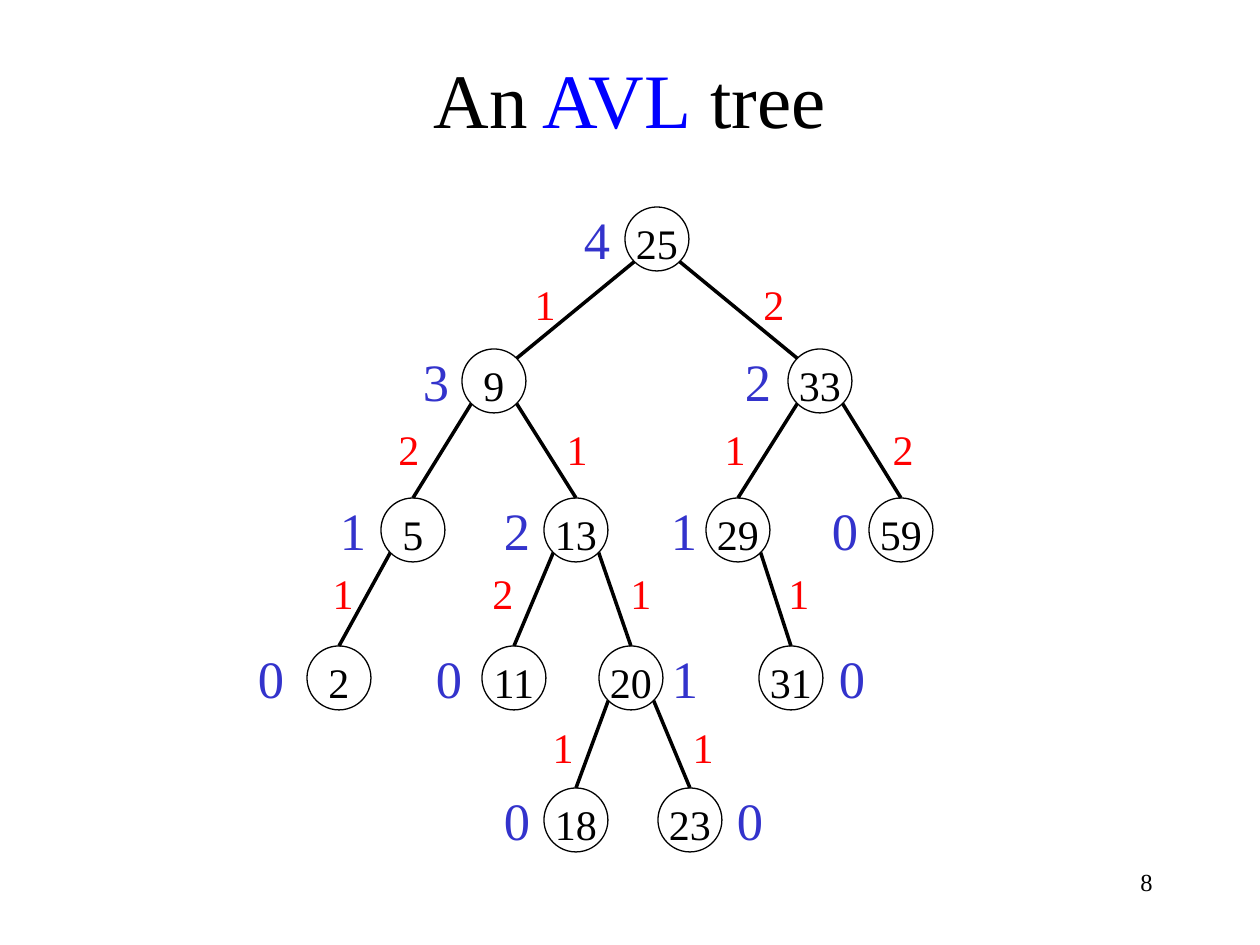
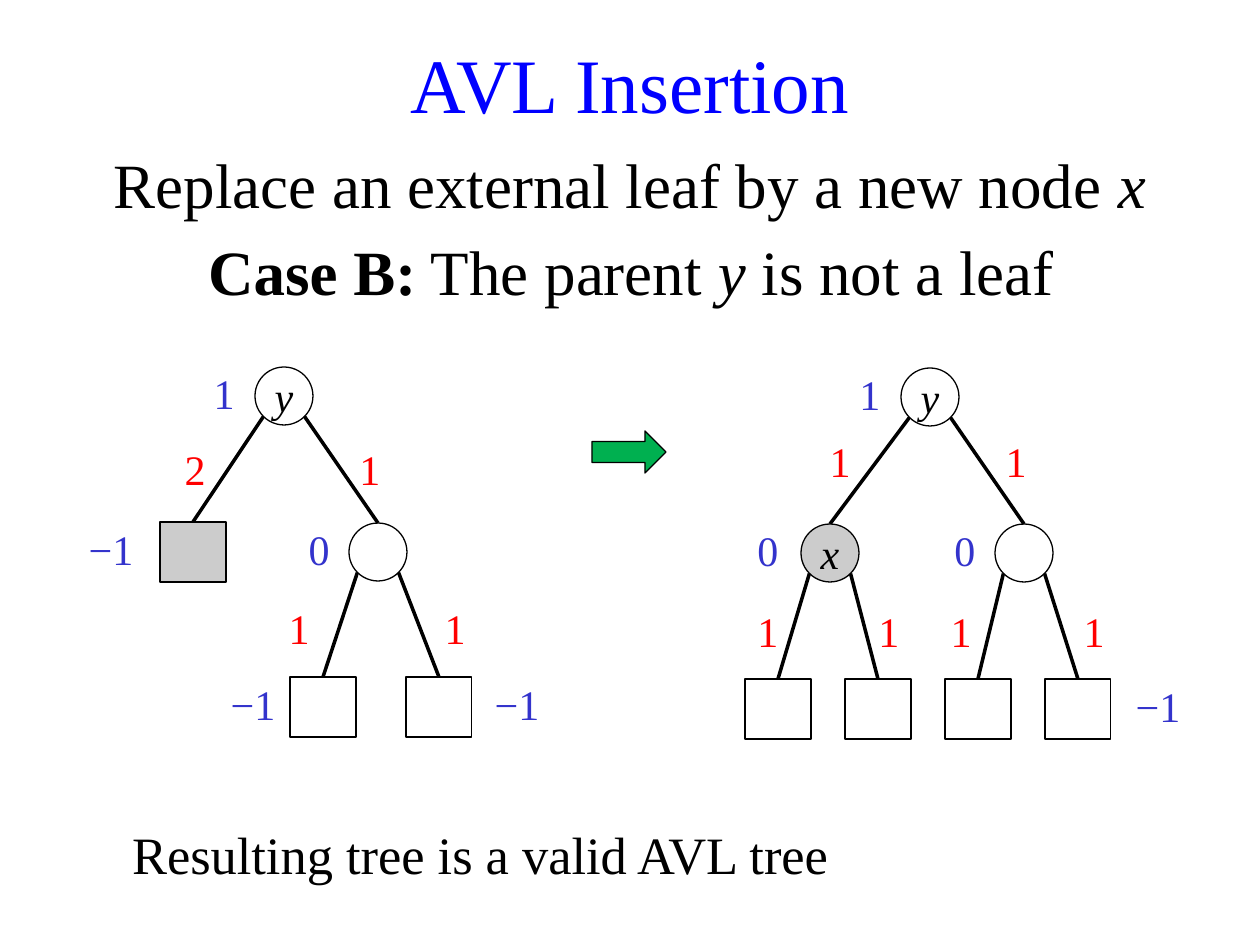
"""Build two slides on AVL trees: a ranked example and one insertion case."""
from dataclasses import dataclass

from lxml import etree
from pptx import Presentation
from pptx import util as u
from pptx.dml.color import RGBColor
from pptx.enum import shapes, text

EMU_PER_PX = 914400 // 126
FONT = "Times New Roman"
COLOURS = {
    "ink": "000000", "accent": "0000FF", "rank": "3333CC",
    "gap": "FF0000", "shade": "CCCCCC", "arrow": "00B050",
}
FORMS = {
    "circle": shapes.MSO_SHAPE.OVAL,
    "leaf": shapes.MSO_SHAPE.RECTANGLE,
    "arrow": shapes.MSO_SHAPE.RIGHT_ARROW,
}
DIAGONAL = 0.71
CENTRE = text.PP_ALIGN.CENTER
MIDDLE = text.MSO_ANCHOR.MIDDLE
NO_INSETS = dict.fromkeys(("margin_left", "margin_top", "margin_right", "margin_bottom"), 0)


@dataclass
class Node:
    """One tree node, its rank and the rank gap to its parent."""

    x: int
    level: int
    label: str = ""
    rank: str = ""
    rank_dx: int = -60
    parent: str = ""
    gap: str = ""
    gap_x: int = 0
    form: str = "circle"
    fill: str = ""


@dataclass
class Layout:
    """Row positions and sizes shared by the nodes of a tree."""

    rows: list
    gap_rows: list
    radius: int
    rank_size: int
    rank_dy: int = 0
    label_drop: int = 0
    italic: bool = False

    def half_size(self, node):
        """Return half the width and half the height of a node."""
        return (33, 30) if node.form == "leaf" else (self.radius, self.radius)


def px(*lengths):
    """Turn pixel lengths into EMU."""
    return [u.Emu(round(length * EMU_PER_PX)) for length in lengths]


def rgb(name):
    """Look up a palette colour."""
    return RGBColor.from_string(COLOURS[name])


def apply(target, values):
    """Set each attribute of target from a dict."""
    for name, value in values.items():
        setattr(target, name, value)


def write(shape, runs, size, align=CENTRE, **frame_format):
    """Write (words, colour, font format) runs as one paragraph."""
    apply(shape.text_frame, {"word_wrap": True, **frame_format})
    paragraph = shape.text_frame.paragraphs[0]
    paragraph.alignment = align
    for words, colour, font_format in runs:
        run = paragraph.add_run()
        run.text = words
        apply(run.font, {"name": FONT, "size": u.Pt(size), **font_format})
        run.font.color.rgb = rgb(colour)


def add_line_of_text(slide, box, runs, size, align=CENTRE):
    """Place a text box holding one paragraph."""
    write(slide.shapes.add_textbox(*px(*box)), runs, size, align)


def add_label(slide, x, y, words, colour, size):
    """Centre a short label on a point."""
    width, height = 80, size * 2.6
    box = slide.shapes.add_textbox(*px(x - width / 2, y - height / 2, width, height))
    write(box, [(words, colour, {})], size, vertical_anchor=MIDDLE, **NO_INSETS)


def add_outlined(slide, form, box, fill=""):
    """Add a thinly outlined shape, filled when a colour is named."""
    shape = slide.shapes.add_shape(FORMS[form], *px(*box))
    shape.shadow.inherit = False
    if fill:
        shape.fill.solid()
        shape.fill.fore_color.rgb = rgb(fill)
    else:
        shape.fill.background()
    shape.line.color.rgb = rgb("ink")
    shape.line.width = u.Pt(0.75)
    return shape


def add_node(slide, node, layout):
    """Draw a node with its label and rank."""
    y = layout.rows[node.level]
    half_w, half_h = layout.half_size(node)
    shape = add_outlined(slide, node.form,
                         (node.x - half_w, y - half_h, 2 * half_w, 2 * half_h), node.fill)
    if node.label:
        insets = {**NO_INSETS, "margin_top": px(layout.label_drop)[0]}
        write(shape, [(node.label, "ink", {"italic": layout.italic})], 24,
              vertical_anchor=MIDDLE, **insets)
    if node.rank:
        add_label(slide, node.x + node.rank_dx, y + layout.rank_dy,
                  node.rank, "rank", layout.rank_size)


def add_edge(slide, parent, child, layout):
    """Join a parent to its child and show the rank gap."""
    top, bottom = layout.rows[parent.level], layout.rows[child.level]
    side = 1 if child.x > parent.x else -1
    corner = layout.radius * DIAGONAL
    end = child.x, bottom - layout.half_size(child)[1]
    if abs(child.x - parent.x) > bottom - top:
        end = child.x - side * corner, bottom - corner
    edge = slide.shapes.add_connector(
        shapes.MSO_CONNECTOR.STRAIGHT, *px(parent.x + side * corner, top + corner, *end))
    edge.line.color.rgb = rgb("ink")
    edge.line.width = u.Pt(2)
    properties = edge.line._get_or_add_ln().getparent()
    etree.SubElement(properties, properties.tag.replace("spPr", "effectLst").replace(
        "presentationml", "drawingml"))
    add_label(slide, child.gap_x, layout.gap_rows[parent.level], child.gap, "gap", 24)


def add_tree(slide, nodes, layout):
    """Draw all edges and nodes of a tree."""
    for node in nodes.values():
        if node.parent:
            add_edge(slide, nodes[node.parent], node, layout)
        add_node(slide, node, layout)


def add_title(slide, y, runs):
    """Place the slide title across the full width."""
    add_line_of_text(slide, (0, y, 1260, 106), runs, 44)


def build_example(slide):
    """Build the ranked AVL tree slide."""
    add_title(slide, 45, [("An", "ink", {}), (" AVL", "accent", {}), (" tree", "ink", {})])
    layout = Layout([239, 381, 530, 678, 820], [304, 449, 593, 747], 32, 30, label_drop=8)
    keys = [
        Node(657, 0, "25", "4"),
        Node(494, 1, "9", "3", -58, "25", "1", 545),
        Node(820, 1, "33", "2", -62, "25", "2", 774),
        Node(413, 2, "5", "1", -60, "9", "2", 409),
        Node(576, 2, "13", "2", -59, "9", "1", 577),
        Node(738, 2, "29", "1", -54, "33", "1", 735),
        Node(901, 2, "59", "0", -56, "33", "2", 903),
        Node(339, 3, "2", "0", -68, "5", "1", 343),
        Node(514, 3, "11", "0", -65, "13", "2", 503),
        Node(631, 3, "20", "1", 54, "13", "1", 641),
        Node(791, 3, "31", "0", 61, "29", "1", 799),
        Node(576, 4, "18", "0", -59, "20", "1", 563),
        Node(690, 4, "23", "0", 60, "20", "1", 703),
    ]
    add_tree(slide, {node.label: node for node in keys}, layout)
    add_line_of_text(slide, (903, 861, 262, 63), [("8", "ink", {})], 14, text.PP_ALIGN.RIGHT)


def build_insertion(slide):
    """Build the slide on inserting below a parent that is not a leaf."""
    add_title(slide, 30, [("AVL Insertion", "accent", {})])
    add_line_of_text(slide, (0, 139, 1260, 89), [
        ("Replace an external leaf by a new node ", "ink", {}),
        ("x", "ink", {"italic": True})], 36)
    add_line_of_text(slide, (1, 226, 1260, 89), [
        ("Case B:", "ink", {"bold": True}), (" The parent ", "ink", {}),
        ("y", "ink", {"italic": True}), (" is not a leaf", "ink", {})], 36)

    style = {"radius": 29, "rank_size": 24, "rank_dy": -3, "italic": True}
    before = {
        "y": Node(284, 0, "y", "1"),
        "replaced": Node(193, 1, "", "−1", -82, "y", "2", 195, "leaf", "shade"),
        "sibling": Node(378, 1, "", "0", -59, "y", "1", 370),
        "left leaf": Node(323, 2, "", "−1", -70, "sibling", "1", 299, "leaf"),
        "right leaf": Node(439, 2, "", "−1", 78, "sibling", "1", 455, "leaf"),
    }
    add_tree(slide, before, Layout([396, 552, 707], [469, 628], **style))

    after = {
        "y": Node(930, 0, "y", "1"),
        "x": Node(830, 1, "x", "0", -62, "y", "1", 840, fill="shade"),
        "sibling": Node(1024, 1, "", "0", -59, "y", "1", 1016),
    }
    for place, gap_x in enumerate((768, 889, 961, 1094)):
        after[f"leaf {place}"] = Node(
            778 + 100 * place, 2, rank="−1" if place == 3 else "", rank_dx=80,
            parent="x" if place < 2 else "sibling", gap="1", gap_x=gap_x, form="leaf")
    add_tree(slide, after, Layout([397, 553, 709], [461, 631], **style))

    add_outlined(slide, "arrow", (592, 431, 74, 42), "arrow")
    add_line_of_text(slide, (79, 816, 803, 77),
                     [("Resulting tree is a valid AVL tree", "ink", {})], 30)


def main():
    """Build and save the presentation."""
    deck = Presentation()
    deck.slide_width, deck.slide_height = px(1260, 945)
    for build in (build_example, build_insertion):
        build(deck.slides.add_slide(deck.slide_layouts[6]))
    deck.save("out.pptx")


if __name__ == "__main__":
    main()
